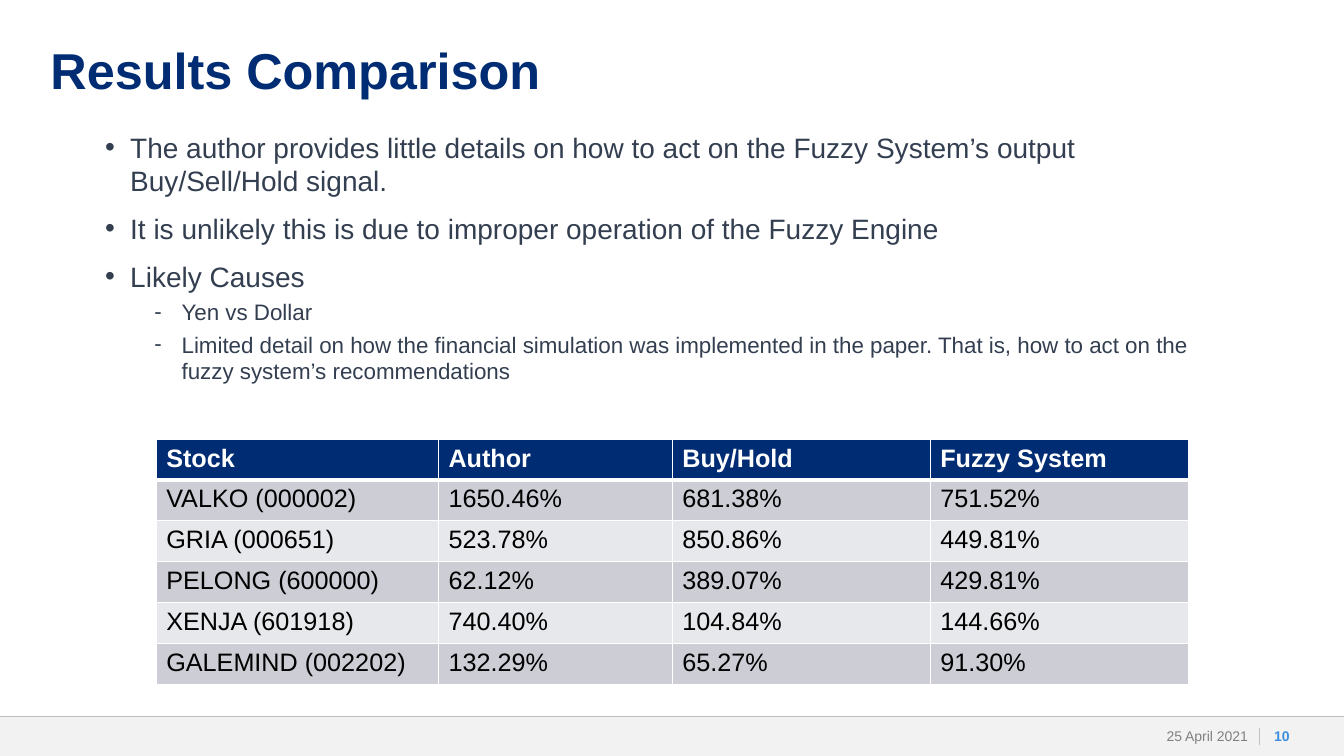
"""Build the Results Comparison slide with its bullets, table and footer."""
from dataclasses import dataclass, field
from typing import Any

from lxml.etree import SubElement
from pptx import Presentation
from pptx.dml.color import RGBColor
from pptx.enum.shapes import MSO_CONNECTOR, MSO_SHAPE
from pptx.enum.text import MSO_ANCHOR, PP_ALIGN
from pptx.oxml import parse_xml
from pptx.oxml.ns import nsdecls, qn
from pptx.util import Pt

COLORS = {
    "navy": "002C73", "slate": "333F50", "gray": "808080", "blue": "3E8EDE",
    "bar": "F2F2F2", "rule": "BFBFBF", "white": "FFFFFF", "black": "000000",
    "dark_band": "CCCDD5", "light_band": "E7E8EB",
}


@dataclass
class Para:
    text: str
    size: float
    color: str
    bold: bool = False
    bullet: str = ""
    margin: float = 0
    hang: float = 0
    fmt: dict[str, Any] = field(default_factory=dict)


@dataclass
class Box:
    left: float
    top: float
    width: float
    height: float
    paras: list[Para]
    inset: float = 0
    anchor: MSO_ANCHOR = MSO_ANCHOR.TOP


@dataclass
class Rule:
    x1: float
    y1: float
    x2: float
    y2: float


def rgb(name: str) -> RGBColor:
    return RGBColor.from_string(COLORS[name])


def apply(obj: Any, fmt: dict[str, Any]) -> None:
    for name, value in fmt.items():
        setattr(obj, name, value)


def write(p: Any, para: Para) -> None:
    apply(p, para.fmt)
    r = p.add_run()
    r.text = para.text
    apply(r.font, {"name": "Arial", "size": Pt(para.size), "bold": para.bold})
    r.font.color.rgb = rgb(para.color)
    if para.bullet:
        pPr = p._p.get_or_add_pPr()
        pPr.set("marL", str(Pt(para.margin)))
        pPr.set("indent", str(-Pt(para.hang)))
        SubElement(pPr, qn("a:buFont")).set("typeface", "Arial")
        SubElement(pPr, qn("a:buChar")).set("char", para.bullet)


def add_box(s: Any, box: Box) -> None:
    sp = s.shapes.add_textbox(Pt(box.left), Pt(box.top), Pt(box.width), Pt(box.height))
    tf = sp.text_frame
    apply(tf, {"word_wrap": True, "vertical_anchor": box.anchor,
               "margin_left": Pt(box.inset), "margin_right": Pt(box.inset),
               "margin_top": 0, "margin_bottom": 0})
    for i, para in enumerate(box.paras):
        write(tf.add_paragraph() if i else tf.paragraphs[0], para)


def add_rule(s: Any, rule: Rule) -> None:
    sp = s.shapes.add_connector(MSO_CONNECTOR.STRAIGHT, Pt(rule.x1), Pt(rule.y1),
                                Pt(rule.x2), Pt(rule.y2))
    sp.line.color.rgb = rgb("rule")
    sp.line.width = Pt(0.5)
    SubElement(sp._element.spPr, qn("a:effectLst"))


def add_borders(cell: Any, widths: dict[str, float]) -> None:
    tcPr = cell._tc.get_or_add_tcPr()
    for i, (side, width) in enumerate(widths.items()):
        tcPr.insert(i, parse_xml(
            f'<a:ln{side} {nsdecls("a")} w="{Pt(width)}"><a:solidFill>'
            f'<a:srgbClr val="{COLORS["white"]}"/></a:solidFill></a:ln{side}>'))


def add_results(s: Any, rows: list[tuple[str, ...]], widths: list[float]) -> None:
    head_height, row_height = 27, 29.2
    height = head_height + row_height * (len(rows) - 1)
    table = s.shapes.add_table(len(rows), len(widths), Pt(111.6), Pt(314),
                               Pt(sum(widths)), Pt(height)).table
    for col, width in zip(table.columns, widths):
        col.width = Pt(width)
    for i, values in enumerate(rows):
        head = i == 0
        table.rows[i].height = Pt(head_height if head else row_height)
        fill = "navy" if head else ("dark_band" if i % 2 else "light_band")
        for j, text in enumerate(values):
            cell = table.cell(i, j)
            cell.fill.solid()
            cell.fill.fore_color.rgb = rgb(fill)
            add_borders(cell, {"L": 1, "R": 1, "T": 3 if i == 1 else 1, "B": 3 if head else 1})
            write(cell.text_frame.paragraphs[0],
                  Para(text, 18, "white" if head else "black", head))


def point(text: str) -> Para:
    return Para(text, 20, "slate", False, "•", 18, 18, {"space_before": Pt(10)})


def subpoint(text: str) -> Para:
    return Para(text, 16, "slate", False, "-", 54.7, 19.4,
                {"space_before": Pt(4), "level": 1})


RULES = [Rule(0, 512, 960, 512), Rule(899.3, 520, 899.3, 532)]
BOXES = [
    Box(36, 33, 888, 60, [Para("Results Comparison", 36, "navy", True,
                               fmt={"line_spacing": 0.9})]),
    Box(75, 93, 810, 396, [
        point("The author provides little details on how to act on the Fuzzy System’s "
              "output Buy/Sell/Hold signal."),
        point("It is unlikely this is due to improper operation of the Fuzzy Engine"),
        point("Likely Causes"),
        subpoint("Yen vs Dollar"),
        subpoint("Limited detail on how the financial simulation was implemented in the "
                 "paper. That is, how to act on the fuzzy system’s recommendations"),
    ]),
    Box(790.5, 512, 108, 28, [Para("25 April 2021", 10, "gray",
                                   fmt={"alignment": PP_ALIGN.RIGHT})],
        7.2, MSO_ANCHOR.MIDDLE),
    Box(900.7, 512, 30, 28, [Para("10", 10, "blue", True,
                                  fmt={"alignment": PP_ALIGN.CENTER})],
        0, MSO_ANCHOR.MIDDLE),
]
RESULTS = [
    ("Stock", "Author", "Buy/Hold", "Fuzzy System"),
    ("VALKO (000002)", "1650.46%", "681.38%", "751.52%"),
    ("GRIA (000651)", "523.78%", "850.86%", "449.81%"),
    ("PELONG (600000)", "62.12%", "389.07%", "429.81%"),
    ("XENJA (601918)", "740.40%", "104.84%", "144.66%"),
    ("GALEMIND (002202)", "132.29%", "65.27%", "91.30%"),
]


def main() -> None:
    prs = Presentation()
    apply(prs, {"slide_width": Pt(960), "slide_height": Pt(540)})
    s = prs.slides.add_slide(prs.slide_layouts[6])
    bar = s.shapes.add_shape(MSO_SHAPE.RECTANGLE, 0, Pt(512), Pt(960), Pt(28))
    bar.shadow.inherit = False
    bar.fill.solid()
    bar.fill.fore_color.rgb = rgb("bar")
    bar.line.fill.background()
    for rule in RULES:
        add_rule(s, rule)
    for box in BOXES:
        add_box(s, box)
    add_results(s, RESULTS, [201.6, 167, 184.3, 184.3])
    prs.save("out.pptx")


if __name__ == "__main__":
    main()
